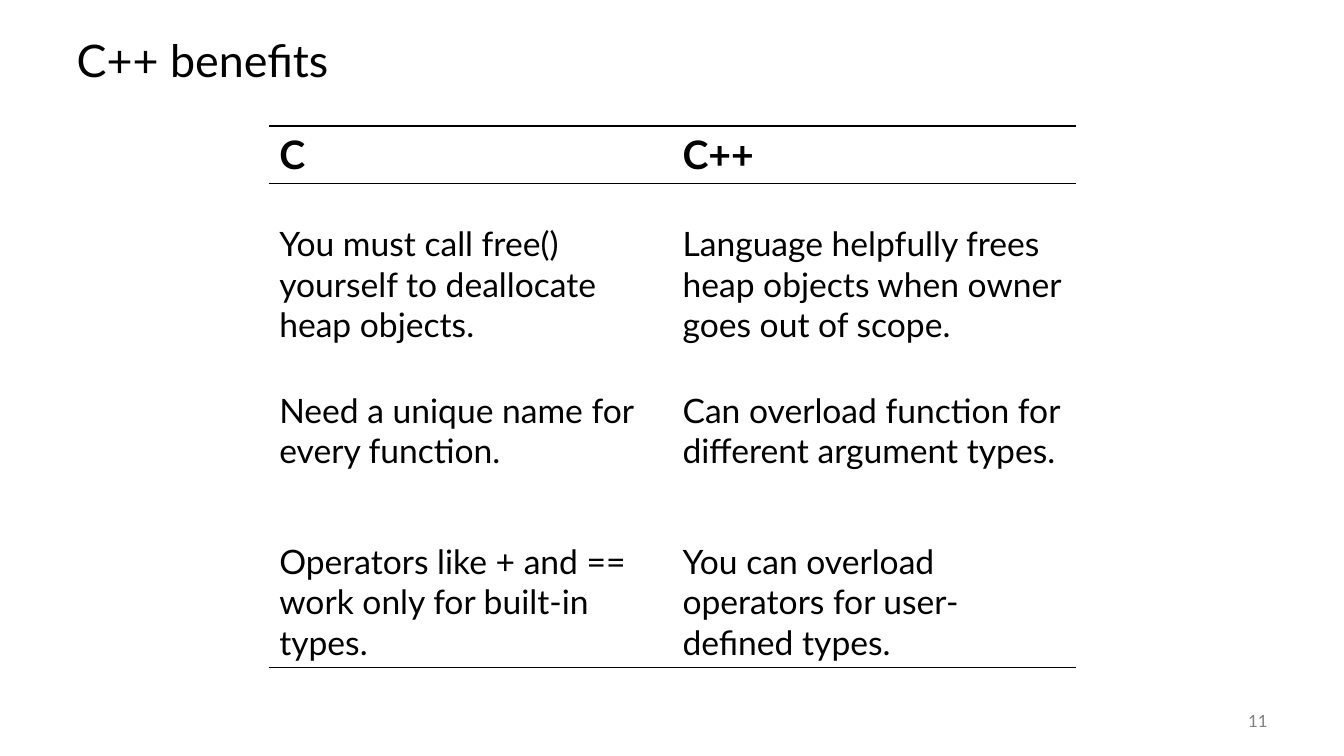
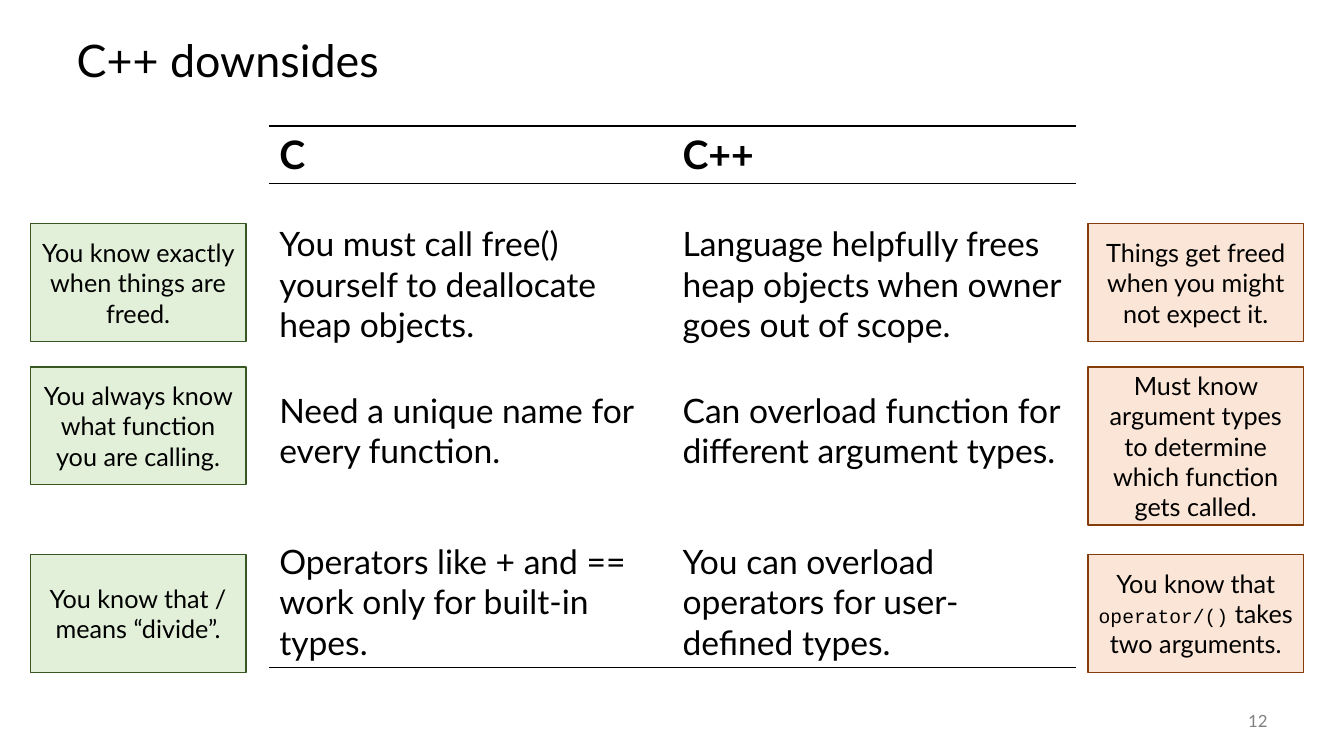
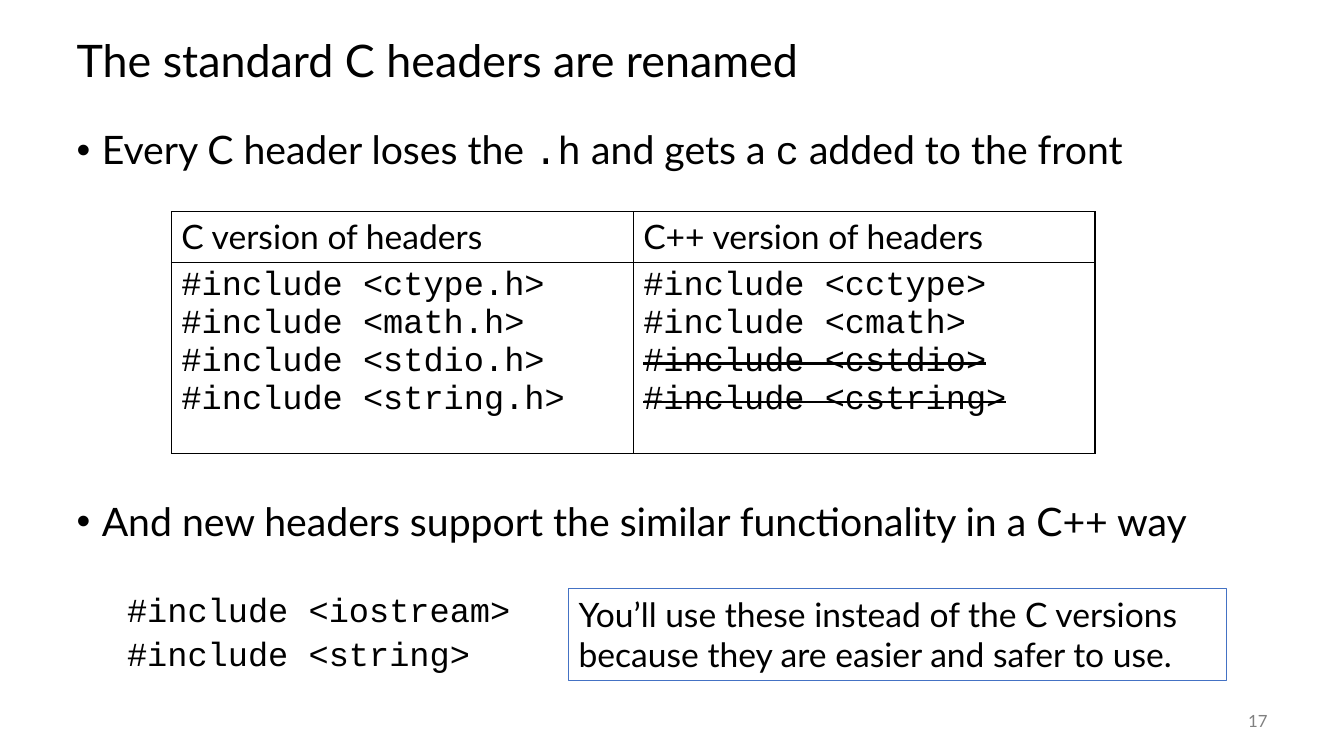
from lxml.etree import SubElement
from pptx import Presentation
from pptx.dml.color import RGBColor
from pptx.enum.shapes import MSO_SHAPE
from pptx.enum.text import MSO_ANCHOR, MSO_AUTO_SIZE, PP_ALIGN
from pptx.oxml.ns import qn
from pptx.util import Pt

PX = 9144
SLIDE = (1333, 750)
TITLE_BOX = (66, 25, 1200, 75)
BODY_BOX = (66, 125, 1200, 550)
NUMBER_BOX = (1167, 695, 100, 40)
COMPARISON_BOX = (267, 125, 800, 537)
TITLE_LAYOUT, BODY_LAYOUT = 5, 1
BLACK, GREY, BLUE = "000000", "808080", "4472C4"
GREEN_BOX = ("E2F0D9", "385723")
ORANGE_BOX = ("FBE5D6", "843C0B")
SANS, MONO = "Lato", "Courier New"
NO_STYLE = "{2D5ABB26-0587-4C30-8999-92F81FD0307C}"

COMPARISON = [
    ("C", "C++"),
    ("You must call free() yourself to deallocate heap objects.",
     "Language helpfully frees heap objects when owner goes out of scope."),
    ("Need a unique name for every function.",
     "Can overload function for different argument types."),
    ("Operators like + and == work only for built-in types.",
     "You can overload operators for user-defined types."),
]
C_NOTES = [
    (97, 117, "You know exactly when things are freed."),
    (239, 117, "You always know what function you are calling."),
    (425, 117, "You know that / means “divide”."),
]
CPP_NOTES = [
    (97, 117, "Things get freed when you might not expect it."),
    (239, 157, "Must know argument types to determine which function gets called."),
    (425, 117, "You know that `operator/()` takes two arguments."),
]
HEADERS = [
    ("C version of headers", ["ctype.h", "math.h", "stdio.h", "string.h"], ()),
    ("C++ version of headers", ["cctype", "cmath", "cstdio", "cstring"], ("cstdio", "cstring")),
]


def rgb(value):
    """Turn a hex string into a colour."""
    return RGBColor.from_string(value)


def emu(*lengths):
    """Turn px into EMU."""
    return [n * PX for n in lengths]


def assign(obj, **values):
    """Set each named attribute of an object."""
    for name, value in values.items():
        setattr(obj, name, value)


def write(p, text, size, color=BLACK, code_size=None, strike=False, **fmt):
    """Write text into a paragraph, with backticks around code."""
    for i, part in enumerate(text.split("`")):
        if not part:
            continue
        r = p.add_run()
        r.text = part
        is_code = i % 2 == 1
        look = {"name": MONO if is_code else SANS,
                "size": Pt(code_size if is_code and code_size else size), **fmt}
        assign(r.font, **look)
        r.font.color.rgb = rgb(color)
        if strike:
            r._r.get_or_add_rPr().set("strike", "sngStrike")


def fit_placeholder(sp, box, anchor):
    """Move a placeholder and fix its text frame."""
    assign(sp, **dict(zip(("left", "top", "width", "height"), emu(*box))))
    assign(sp.text_frame, auto_size=MSO_AUTO_SIZE.NONE, word_wrap=True, vertical_anchor=anchor)
    return sp.text_frame


def add_slide(prs, layout, title, number):
    """Add a slide with its title and page number."""
    s = prs.slides.add_slide(prs.slide_layouts[layout])
    p = fit_placeholder(s.shapes.title, TITLE_BOX, MSO_ANCHOR.MIDDLE).paragraphs[0]
    assign(p, alignment=PP_ALIGN.LEFT, line_spacing=0.9)
    write(p, title, 32)
    tf = s.shapes.add_textbox(*emu(*NUMBER_BOX)).text_frame
    assign(tf, word_wrap=True, vertical_anchor=MSO_ANCHOR.MIDDLE)
    tf.paragraphs[0].alignment = PP_ALIGN.RIGHT
    write(tf.paragraphs[0], str(number), 12, GREY)
    return s


def add_box(s, box, text, fill, line, weight=1, size=18,
            align=PP_ALIGN.CENTER, anchor=MSO_ANCHOR.MIDDLE):
    """Add an outlined rectangle with text."""
    sp = s.shapes.add_shape(MSO_SHAPE.RECTANGLE, *emu(*box))
    sp.shadow.inherit = False
    if fill:
        sp.fill.solid()
        sp.fill.fore_color.rgb = rgb(fill)
    else:
        sp.fill.background()
    sp.line.color.rgb = rgb(line)
    sp.line.width = Pt(weight)
    tf = sp.text_frame
    assign(tf, word_wrap=True, vertical_anchor=anchor)
    tf.paragraphs[0].alignment = align
    write(tf.paragraphs[0], text, size, code_size=14)


def add_plain_table(s, box, heights):
    """Add an unstyled table of two equal columns."""
    frame = s.shapes.add_table(len(heights), 2, *emu(*box))
    next(frame.element.iter(qn("a:tableStyleId"))).text = NO_STYLE
    table = frame.table
    assign(table, first_row=False, horz_banding=False)
    for col in table.columns:
        col.width = box[2] // 2 * PX
    for row, height in zip(table.rows, heights):
        row.height = height * PX
    return table


def border(cell, sides):
    """Draw black lines on the given sides, in L R T B order, with no fill."""
    tc_pr = cell._tc.get_or_add_tcPr()
    for side in sides:
        ln = SubElement(tc_pr, qn("a:ln" + side), w=str(Pt(1)))
        SubElement(SubElement(ln, qn("a:solidFill")), qn("a:srgbClr"), val=BLACK)
    cell.fill.background()


def add_comparison(s, box):
    """Add the table that compares C with C++."""
    table = add_plain_table(s, box, (57, 165, 150, 165))
    last = len(COMPARISON) - 1
    for i, row in enumerate(COMPARISON):
        for j, text in enumerate(row):
            cell = table.cell(i, j)
            border(cell, {0: "TB", last: "B"}.get(i, ""))
            if i:
                cell.margin_top = 40 * PX
            write(cell.text_frame.paragraphs[0], text, 24 if i else 28, bold=i == 0)


def add_notes(s, box, notes, colors):
    """Add a column of coloured notes at offsets from the box top."""
    x, y, w, _ = box
    for dy, h, text in notes:
        add_box(s, (x, y + dy, w, h), text, *colors)


def add_header_table(s, box):
    """Add the table of header names in C and C++."""
    table = add_plain_table(s, box, (50, 190))
    for j, (heading, names, struck) in enumerate(HEADERS):
        for i in range(2):
            border(table.cell(i, j), "LRTB")
        write(table.cell(0, j).text_frame.paragraphs[0], heading, 24)
        tf = table.cell(1, j).text_frame
        for k, name in enumerate(names):
            p = tf.add_paragraph() if k else tf.paragraphs[0]
            write(p, f"`#include <{name}>`", 24, strike=name in struck)


def add_body(s, box, items):
    """Fill the body with (level, space before, text) items."""
    tf = fit_placeholder(s.placeholders[1], box, MSO_ANCHOR.TOP)
    for i, (level, before, text) in enumerate(items):
        p = tf.add_paragraph() if i else tf.paragraphs[0]
        assign(p, level=level, line_spacing=0.9, space_before=Pt(before), space_after=Pt(0))
        p_pr = p._p.get_or_add_pPr()
        margin, indent = (50, 0) if level else (25, -25)
        p_pr.set("marL", str(margin * PX))
        p_pr.set("indent", str(indent * PX))
        if level:
            SubElement(p_pr, qn("a:buNone"))
        else:
            SubElement(p_pr, qn("a:buFont"), typeface="Arial")
            SubElement(p_pr, qn("a:buChar"), char="•")
        write(p, text, 24 if level else 28)


def benefits_slide(prs):
    """Build the slide on benefits."""
    s = add_slide(prs, TITLE_LAYOUT, "C++ benefits", 11)
    add_comparison(s, COMPARISON_BOX)


def downsides_slide(prs):
    """Build the slide on downsides, with notes on both sides."""
    s = add_slide(prs, TITLE_LAYOUT, "C++ downsides", 12)
    add_comparison(s, COMPARISON_BOX)
    x, y, w, h = COMPARISON_BOX
    add_notes(s, (x - 237, y, 214, h), C_NOTES, GREEN_BOX)
    add_notes(s, (x + w + 12, y, 214, h), CPP_NOTES, ORANGE_BOX)


def headers_slide(prs):
    """Build the slide on renamed headers."""
    s = add_slide(prs, BODY_LAYOUT, "The standard C headers are renamed", 17)
    add_body(s, BODY_BOX, [
        (0, 0, "Every C header loses the `.h` and gets a `c` added to the front"),
        (0, 235, "And new headers support the similar functionality in a C++ way"),
        (1, 35, "`#include <iostream>`"),
        (1, 5, "`#include <string>`"),
    ])
    add_header_table(s, (170, 210, 916, 240))
    add_box(s, (564, 584, 652, 91),
            "You’ll use these instead of the C versions because they are easier and safer to use.",
            None, BLUE, 0.75, 24, PP_ALIGN.LEFT, MSO_ANCHOR.TOP)


def main():
    """Build and save the presentation."""
    prs = Presentation()
    prs.slide_width, prs.slide_height = emu(*SLIDE)
    for build in (benefits_slide, downsides_slide, headers_slide):
        build(prs)
    prs.save("out.pptx")


if __name__ == "__main__":
    main()
